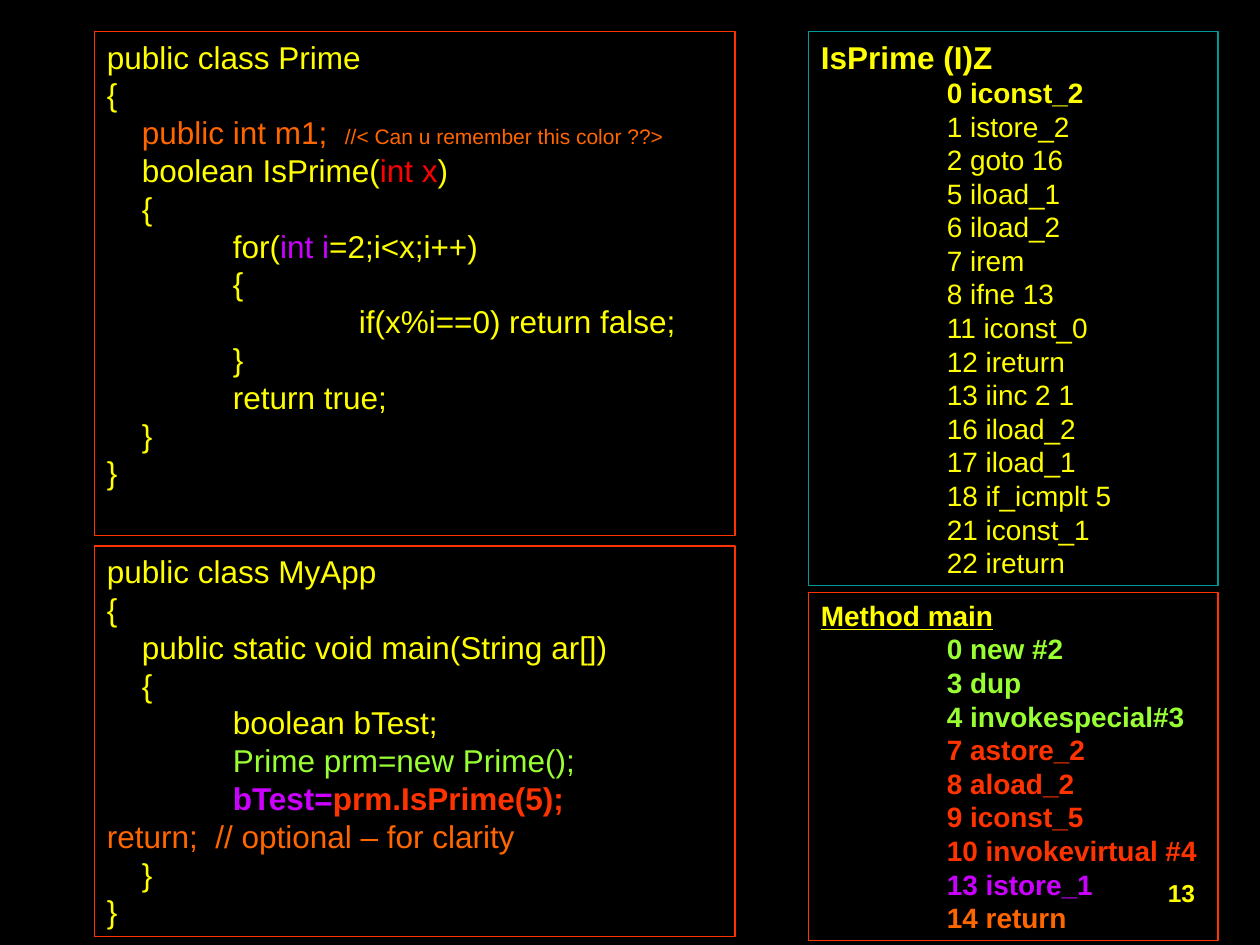
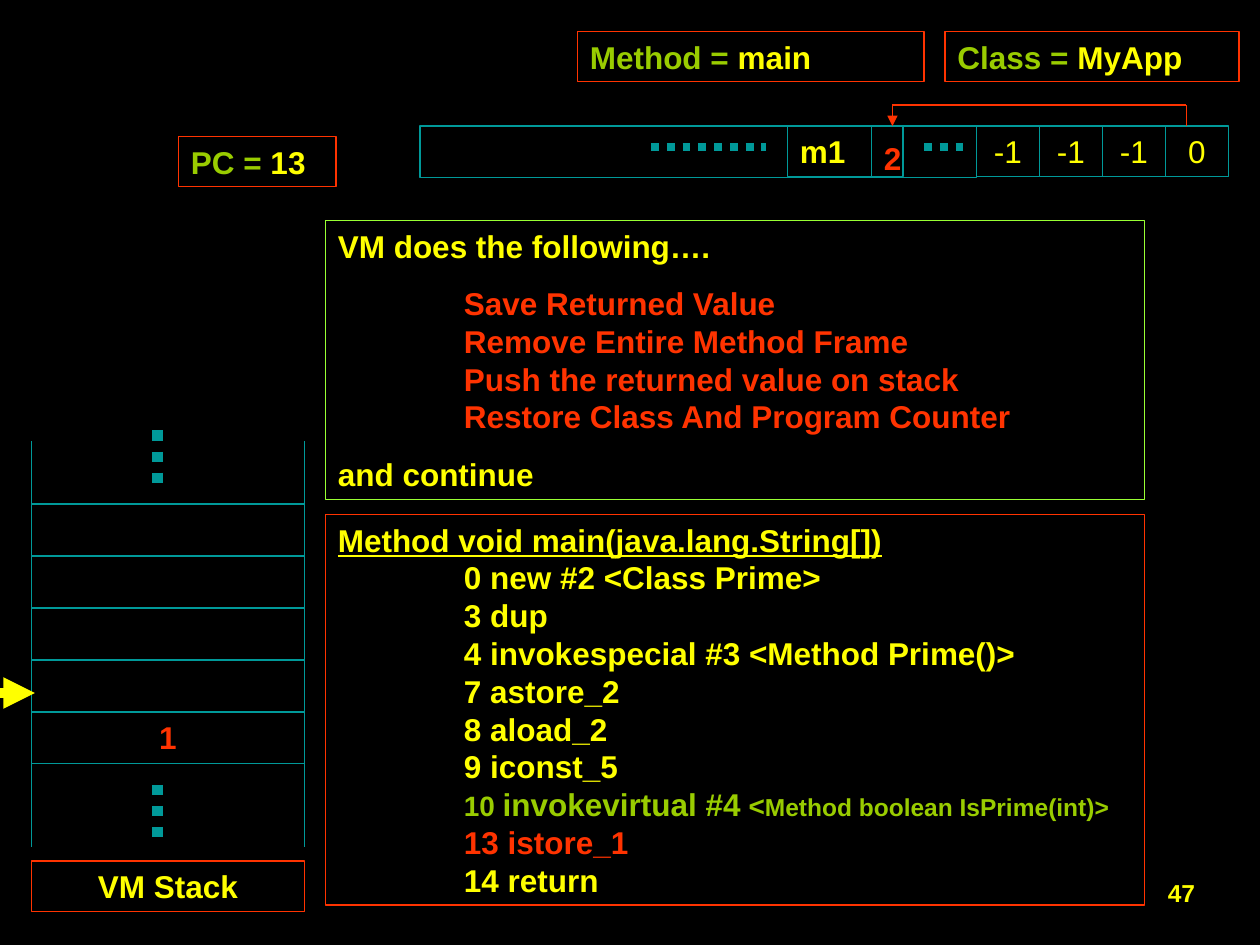
from lxml import etree
from pptx import Presentation
from pptx.dml.color import RGBColor
from pptx.enum.dml import MSO_LINE
from pptx.enum.shapes import MSO_CONNECTOR, MSO_SHAPE
from pptx.enum.text import MSO_ANCHOR, PP_ALIGN
from pptx.oxml.ns import qn
from pptx.util import Inches, Pt

RECTANGLE = MSO_SHAPE.RECTANGLE
STRAIGHT = MSO_CONNECTOR.STRAIGHT
DOTTED = MSO_LINE.ROUND_DOT
TOP = MSO_ANCHOR.TOP
LEFT, CENTER, RIGHT = PP_ALIGN.LEFT, PP_ALIGN.CENTER, PP_ALIGN.RIGHT

WIDTH, HEIGHT = Inches(10), Inches(7.5)
GRID = WIDTH // 120
FONT = "Arial"
COLORS = {
    "background": "000000", "text": "FFFF00", "red": "FF3300",
    "parameter": "FF0000", "orange": "FF6600", "purple": "CC00FF",
    "green": "99FF33", "olive": "99CC00", "teal": "009999",
}
NEST, TAB = 3.33, 12
PARAGRAPH_GAP = 11.2
ROW = 4.8


def grid(value):
    """Turn grid steps into a length."""
    return round(value * GRID)


def color(name):
    """Look up a named colour."""
    return RGBColor.from_string(COLORS[name])


def span(text, **style):
    """Describe a piece of a line with its own style."""
    return text, style


def format_run(run, tint="text", size=18, bold=False, underline=False):
    """Format one run of text."""
    font = run.font
    font.name, font.size, font.bold = FONT, Pt(size), bold
    font.underline = underline
    font.color.rgb = color(tint)


def write_lines(shape, lines, align=LEFT, gaps=(), **style):
    """Write lines of (indent, piece, ...), with a gap before those numbered."""
    frame = shape.text_frame
    frame.word_wrap = True
    frame.vertical_anchor = TOP
    for number, (indent, *pieces) in enumerate(lines):
        para = frame.paragraphs[0] if number == 0 else frame.add_paragraph()
        para.alignment = align
        para.space_before = Pt(PARAGRAPH_GAP if number in gaps else 0)
        properties = para._p.get_or_add_pPr()
        properties.set("marL", str(grid(indent)))
        properties.set("indent", "0")
        for piece in pieces:
            text, own = (piece, {}) if isinstance(piece, str) else piece
            run = para.add_run()
            run.text = text
            format_run(run, **{**style, **own})


def add_box(page, place, outline, lines=(), **style):
    """Add an outlined, unfilled rectangle holding lines of text."""
    box = page.shapes.add_shape(RECTANGLE, *map(grid, place))
    box.shadow.inherit = False
    box.fill.background()
    box.line.color.rgb = color(outline)
    box.line.width = Pt(0.75)
    write_lines(box, lines, **style)
    return box


def add_line(page, start, end, tint, width=0.75, dotted=False, arrow=False):
    """Add a straight line, dotted or with an arrowhead if asked."""
    line = page.shapes.add_connector(STRAIGHT, *map(grid, start + end))
    line.line.color.rgb = color(tint)
    line.line.width = Pt(width)
    if dotted:
        line.line.dash_style = DOTTED
    if arrow:
        etree.SubElement(line.line._ln, qn("a:tailEnd"), type="triangle")
    etree.SubElement(line._element.spPr, qn("a:effectLst"))


def add_label(page, place, name, value):
    """Add a box that shows a name and its value."""
    add_box(page, place, "red", [(0, span(f"{name} =", tint="olive"), f" {value}")],
            bold=True)


def add_page(deck, number):
    """Add a blank page with its number."""
    page = deck.slides.add_slide(deck.slide_layouts[6])
    box = page.shapes.add_textbox(*map(grid, (109, 83, 6, 4.2)))
    write_lines(box, [(0, str(number))], align=RIGHT, size=14, bold=True)
    return page


def build_code_page(deck):
    """Show source code beside its bytecode."""
    page = add_page(deck, 13)
    add_box(page, (9, 52, 61, 37.2), "red", [
        (0, "public class MyApp"),
        (0, "{"),
        (NEST, "public static void main(String ar[])"),
        (NEST, "{"),
        (TAB, "boolean bTest;"),
        (TAB, span("Prime prm=new Prime();", tint="green")),
        (TAB, span("bTest=", tint="purple", bold=True),
         span("prm.IsPrime(5);", tint="red", bold=True)),
        (0, span("return;  // optional – for clarity", tint="orange")),
        (NEST, "}"),
        (0, "}"),
    ])
    add_box(page, (9, 3, 61, 48), "red", [
        (0, "public class Prime"),
        (0, "{"),
        (NEST, span("public int m1;  ", tint="orange"),
         span("//< Can u remember this color ??>", tint="orange", size=12)),
        (NEST, "boolean IsPrime(", span("int x", tint="parameter"), ")"),
        (NEST, "{"),
        (TAB, "for(", span("int i", tint="purple"), "=2;i<x;i++)"),
        (TAB, "{"),
        (2 * TAB, "if(x%i==0) return false;"),
        (TAB, "}"),
        (TAB, "return true;"),
        (NEST, "}"),
        (0, "}"),
    ])
    steps = ["1 istore_2", "2 goto 16", "5 iload_1", "6 iload_2", "7 irem",
             "8 ifne 13", "11 iconst_0", "12 ireturn", "13 iinc 2 1",
             "16 iload_2", "17 iload_1", "18 if_icmplt 5", "21 iconst_1",
             "22 ireturn"]
    add_box(page, (77, 3, 39, 52.8), "teal", [
        (0, span("IsPrime (I)Z", size=18, bold=True)),
        (TAB, span("0 iconst_2", bold=True)),
        *[(TAB, step) for step in steps],
    ], size=16)
    main_steps = [
        ("green", ["0 new #2", "3 dup", "4 invokespecial#3"]),
        ("red", ["7 astore_2", "8 aload_2", "9 iconst_5", "10 invokevirtual #4"]),
        ("purple", ["13 istore_1"]),
        ("orange", ["14 return"]),
    ]
    add_box(page, (77, 56.4, 39, 33.2), "red", [
        (0, span("Method main", underline=True)),
        *[(TAB, span(step, tint=tint)) for tint, group in main_steps for step in group],
    ], size=16, bold=True)


def draw_heap(page):
    """Draw the row of memory cells and the reference between two of them."""
    top = 12
    add_box(page, (40, top, 53, 4.9), "teal")
    for column, value in enumerate(["-1", "-1", "-1", "0"]):
        add_box(page, (93 + 6 * column, top, 6, ROW), "teal", [(0, value)], align=CENTER)
    add_box(page, (75, top, 8, ROW), "teal", [(0, "m1")], bold=True)
    cell = add_box(page, (83, top, 3, ROW), "teal", [(0, "2")], tint="red", bold=True)
    frame = cell.text_frame
    frame.margin_top = Inches(0.1)
    frame.margin_right = frame.margin_bottom = 0
    for left, right in [(88, 92), (62, 73)]:
        add_line(page, (left, 14), (right, 14), "teal", 4.5, dotted=True)
    add_line(page, (85, 10), (113, 10), "red", 1.5)
    add_line(page, (113, top), (113, 10), "red")
    add_line(page, (85, 10), (85, top), "red", arrow=True)


def draw_stack(page):
    """Draw the stack with its open ends, pointer and caption."""
    left, width, rows, step = 3, 26, 5, 4.95
    for row in range(rows):
        value = [(0, "1")] if row == rows - 1 else []
        add_box(page, (left, 48 + row * step, width, 4.9), "teal", value,
                align=CENTER, tint="red", bold=True)
    for side_top, dots_top in [(42, 41), (72.7, 74.75)]:
        for side in (left, left + width):
            add_line(page, (side, side_top), (side, side_top + 8), "teal")
        add_line(page, (15, dots_top), (15, dots_top + 6), "teal", 6, dotted=True)
    add_line(page, (0, 66), (3.33, 66), "text", 6, arrow=True)
    add_box(page, (left, 82, width, ROW), "red", [(0, "VM Stack")],
            align=CENTER, bold=True)


def build_return_page(deck):
    """Show the machine's state after a method returns."""
    page = add_page(deck, 47)
    draw_heap(page)
    add_label(page, (17, 13, 15, ROW), "PC", "13")
    add_label(page, (55, 3, 33, ROW), "Method", "main")
    add_label(page, (90, 3, 28, ROW), "Class", "MyApp")
    actions = ["Save Returned Value", "Remove Entire Method Frame",
               "Push the returned value on stack",
               "Restore Class And Program Counter"]
    add_box(page, (31, 21, 78, 26.6), "green", [
        (0, "VM does the following…."),
        *[(TAB, span(action, tint="red")) for action in actions],
        (0, "and continue"),
    ], gaps=(1, 5), bold=True)
    steps = ["0 new #2 <Class Prime>", "3 dup",
             "4 invokespecial #3 <Method Prime()>", "7 astore_2", "8 aload_2",
             "9 iconst_5"]
    add_box(page, (31, 49, 78, 37.2), "red", [
        (0, span("Method void main(java.lang.String[])", underline=True)),
        *[(TAB, step) for step in steps],
        (TAB, span("10 ", tint="olive", size=16),
         span("invokevirtual #4", tint="olive"),
         span(" <", tint="olive", size=16),
         span("Method boolean IsPrime(int)>", tint="olive", size=14)),
        (TAB, span("13 istore_1", tint="red")),
        (TAB, "14 return"),
    ], bold=True)
    draw_stack(page)


def main():
    """Build the deck and save it."""
    deck = Presentation()
    deck.slide_width, deck.slide_height = WIDTH, HEIGHT
    fill = deck.slide_master.background.fill
    fill.solid()
    fill.fore_color.rgb = color("background")
    build_code_page(deck)
    build_return_page(deck)
    deck.save("out.pptx")


if __name__ == "__main__":
    main()
